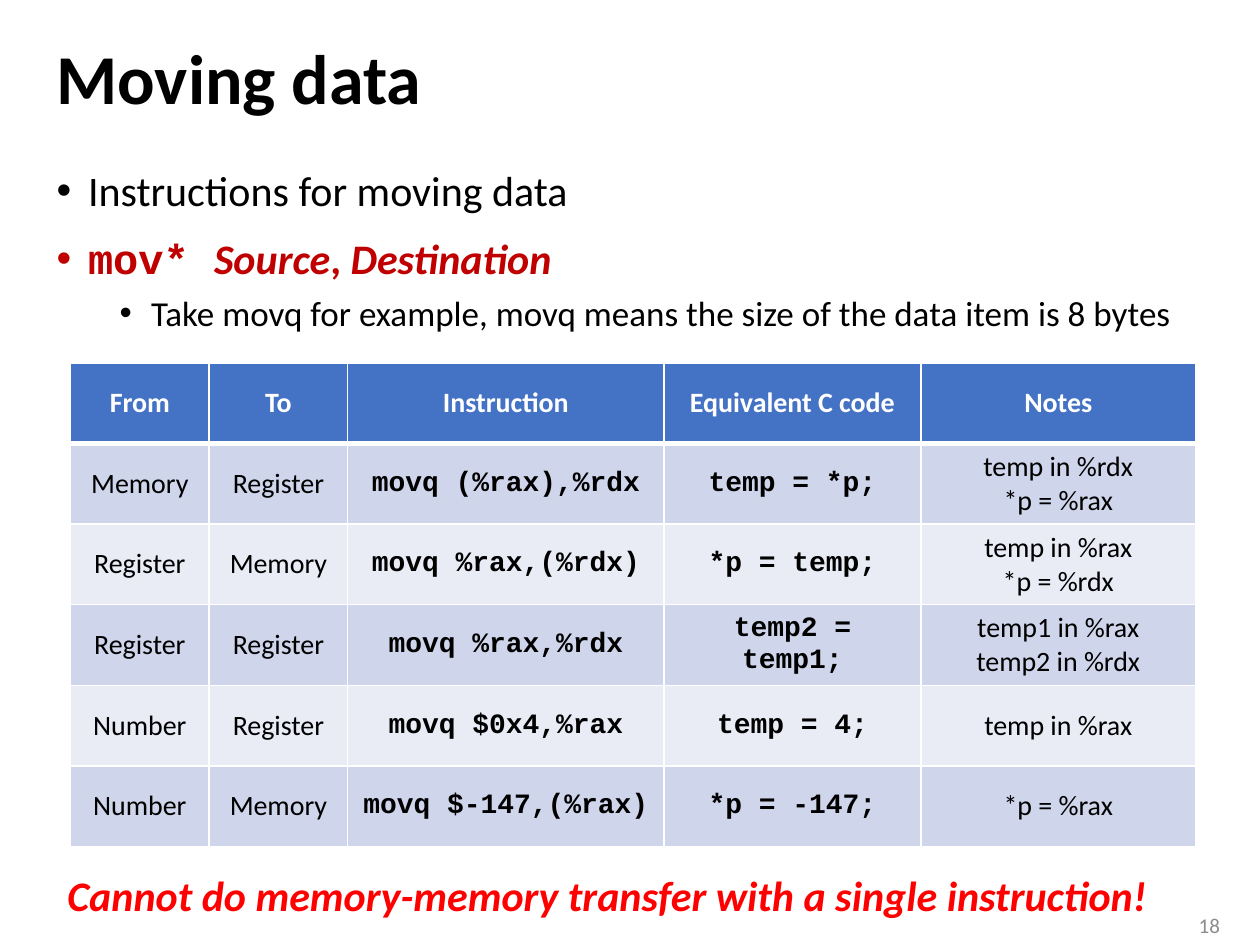
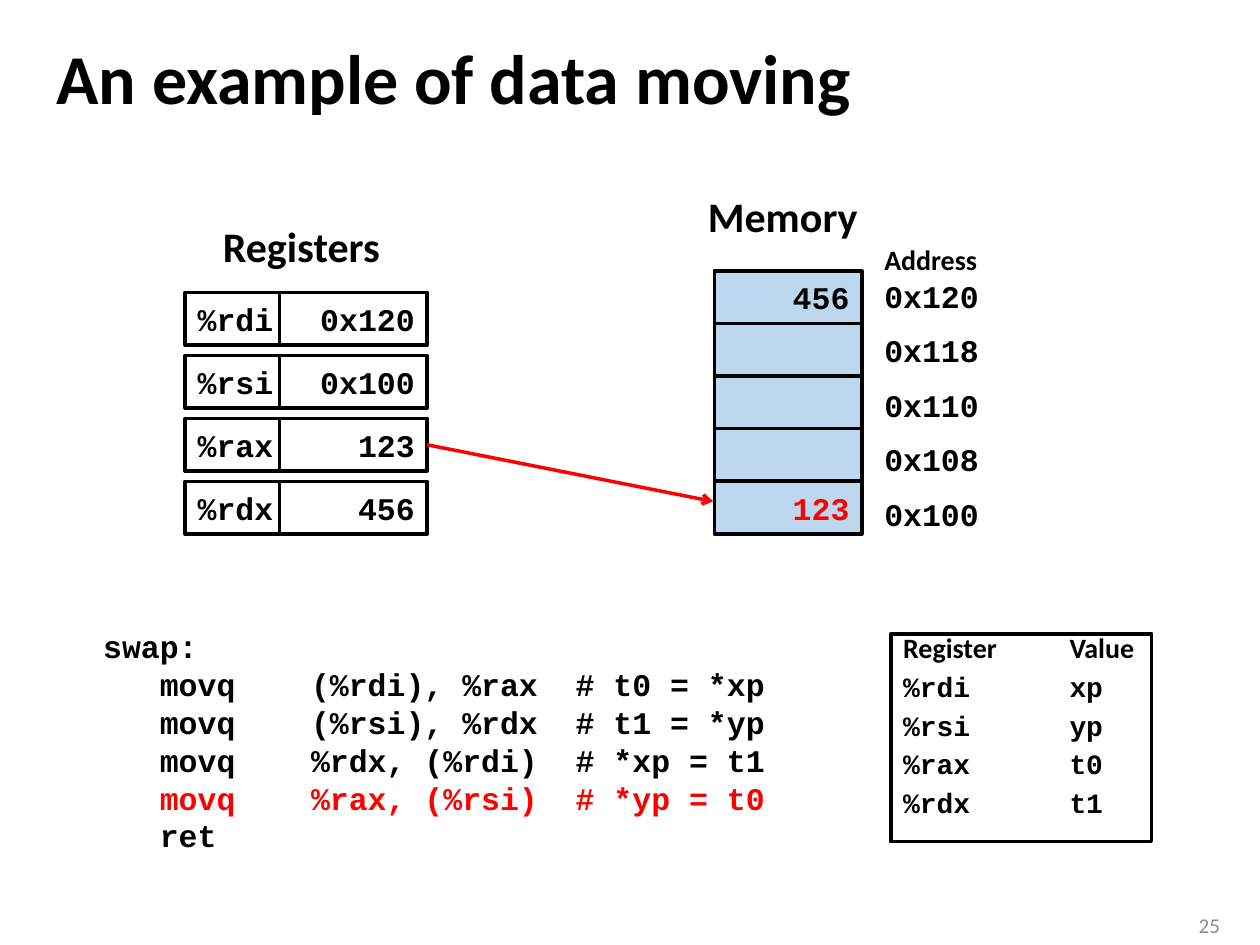
from lxml import etree
from pptx import Presentation
from pptx.dml.color import RGBColor
from pptx.enum.shapes import MSO_CONNECTOR as CONN, MSO_SHAPE as SHAPE
from pptx.enum.text import MSO_ANCHOR as ANCHOR, PP_ALIGN as ALIGN
from pptx.oxml.ns import qn
from pptx.util import Inches, Pt

COLORS = {
    "text": "000000", "white": "FFFFFF", "muted": "8C8C8C",
    "red": "FF0000", "dark_red": "C00000", "header": "4472C4",
    "band_dark": "CFD5EA", "band_light": "E9EBF5", "memory": "BDD7EE",
}
SANS, MONO = "Calibri", "Courier New"


def rgb(name):
    return RGBColor.from_string(COLORS[name])


def child(parent, tag, **attrs):
    return etree.SubElement(parent, qn(tag), attrs)


class Deck:
    """Holds the shared style and the slide being built."""

    def __init__(self):
        self.prs = Presentation()
        self.prs.slide_width, self.prs.slide_height = Inches(10), Inches(7.5)
        self.s = None

    def slide(self, title, number):
        self.s = self.prs.slides.add_slide(self.prs.slide_layouts[6])
        tf = self.text(0.35, 0.19, 9.29, 0.92, [title], anchor=ANCHOR.MIDDLE,
                       size=40, bold=True)
        tf.paragraphs[0].line_spacing = 0.9
        self.text(9.27, 7.19, 0.51, 0.31, [number], anchor=ANCHOR.MIDDLE,
                  size=12, color="muted", align=ALIGN.RIGHT)

    def font(self, font, size=18, name=SANS, color="text", bold=False, italic=False):
        font.size, font.name, font.bold, font.italic = Pt(size), name, bold, italic
        font.color.rgb = rgb(color)

    def fill_text(self, tf, lines, align=ALIGN.LEFT, tabs=(), **style):
        for i, line in enumerate(lines):
            p = tf.paragraphs[0] if i == 0 else tf.add_paragraph()
            p.text, p.alignment = line, align
            if tabs:
                tab_list = child(p._p.get_or_add_pPr(), "a:tabLst")
                for pos in tabs:
                    child(tab_list, "a:tab", pos=str(Inches(pos)), algn="l")
            self.font(p.font, **style)
        return tf

    def text(self, x, y, w, h, lines, anchor=ANCHOR.TOP, wrap=True, **style):
        sp = self.s.shapes.add_textbox(Inches(x), Inches(y), Inches(w), Inches(h))
        tf = sp.text_frame
        tf.word_wrap, tf.vertical_anchor = wrap, anchor
        return self.fill_text(tf, lines, **style)

    def bullet(self, p, runs, level=0, size=24, before=0):
        """Fill a bulleted paragraph with (text, style) runs."""
        pPr = p._p.get_or_add_pPr()
        pPr.set("marL", str(Inches(0.25 + 0.5 * level)))
        pPr.set("indent", str(Inches(-0.25)))
        child(pPr, "a:buFont", typeface="Arial")
        child(pPr, "a:buChar", char="•")
        p.level, p.space_before = level, Pt(before)
        for text, style in runs:
            r = p.add_run()
            r.text = text
            self.font(r.font, size=size, **style)

    def box(self, x, y, w, h, lines=(), fill=None, anchor=ANCHOR.MIDDLE,
            wrap=False, **style):
        sp = self.s.shapes.add_shape(SHAPE.RECTANGLE, Inches(x), Inches(y),
                                     Inches(w), Inches(h))
        sp.shadow.inherit = False
        if fill:
            sp.fill.solid()
            sp.fill.fore_color.rgb = rgb(fill)
        else:
            sp.fill.background()
        sp.line.color.rgb, sp.line.width = rgb("text"), Pt(2)
        tf = sp.text_frame
        tf.word_wrap, tf.vertical_anchor = wrap, anchor
        return self.fill_text(tf, lines, **style)

    def arrow(self, x1, y1, x2, y2, color):
        cn = self.s.shapes.add_connector(CONN.STRAIGHT, Inches(x1), Inches(y1),
                                         Inches(x2), Inches(y2))
        cn.line.color.rgb, cn.line.width = rgb(color), Pt(2)
        child(cn.line._get_or_add_ln(), "a:tailEnd", type="arrow")
        child(cn._element.spPr, "a:effectLst")

    def border(self, cell, bottom):
        tcPr = cell._tc.get_or_add_tcPr()
        for side, width in (("L", 1), ("R", 1), ("T", 1), ("B", bottom)):
            ln = child(tcPr, f"a:ln{side}", w=str(Pt(width)))
            child(child(ln, "a:solidFill"), "a:srgbClr", val=COLORS["white"])

    def table(self, x, y, widths, row_h, rows, mono_cols):
        table = self.s.shapes.add_table(
            len(rows), len(widths), Inches(x), Inches(y),
            Inches(sum(widths)), Inches(row_h * len(rows))).table
        table.first_row = table.horz_banding = False
        for col, width in zip(table.columns, widths):
            col.width = Inches(width)
        for i, row in enumerate(rows):
            head = i == 0
            fill = "header" if head else "band_dark" if i % 2 else "band_light"
            for j, value in enumerate(row):
                cell = table.cell(i, j)
                mono = not head and j in mono_cols
                self.border(cell, bottom=3 if head else 1)
                cell.fill.solid()
                cell.fill.fore_color.rgb = rgb(fill)
                cell.vertical_anchor = ANCHOR.MIDDLE
                self.fill_text(cell.text_frame, value.split("\n"), align=ALIGN.CENTER,
                               size=16, name=MONO if mono else SANS,
                               color="white" if head else "text", bold=head or mono)


def moving_data(deck):
    deck.slide("Moving data", "18")

    # Bullets
    body = deck.text(0.35, 1.26, 9.29, 1.6, [])
    operand = dict(color="dark_red", bold=True)
    deck.bullet(body.paragraphs[0], [("Instructions for moving data", {})])
    deck.bullet(body.add_paragraph(), [
        ("mov* ", dict(name=MONO, **operand)),
        ("Source", dict(italic=True, **operand)),
        (", ", operand),
        ("Destination", dict(italic=True, **operand)),
    ], before=10)
    deck.bullet(body.add_paragraph(), [
        ("Take movq for example, movq means the size of the data item is 8 bytes", {}),
    ], level=1, size=20, before=5)

    # Operand combinations
    deck.table(0.56, 2.88, [1.1, 1.1, 2.51, 2.04, 2.18], 0.64, [
        ("From", "To", "Instruction", "Equivalent C code", "Notes"),
        ("Memory", "Register", "movq (%rax),%rdx", "temp = *p;", "temp in %rdx\n*p = %rax"),
        ("Register", "Memory", "movq %rax,(%rdx)", "*p = temp;", "temp in %rax\n*p = %rdx"),
        ("Register", "Register", "movq %rax,%rdx", "temp2 = temp1;",
         "temp1 in %rax\ntemp2 in %rdx"),
        ("Number", "Register", "movq $0x4,%rax", "temp = 4;", "temp in %rax"),
        ("Number", "Memory", "movq $-147,(%rax)", "*p = -147;", "*p = %rax"),
    ], mono_cols=(2, 3))

    # Warning
    tf = deck.text(0.37, 6.9, 8.9, 0.58,
                   ["Cannot do memory-memory transfer with a single instruction!"],
                   align=ALIGN.CENTER, size=24, color="red", bold=True, italic=True)
    tf.margin_left = tf.margin_right = tf.margin_top = tf.margin_bottom = 0


def swap_example(deck):
    deck.slide("An example of data moving", "25")
    code = dict(name=MONO, bold=True)
    label = dict(bold=True)
    cell_w, cell_h = 1.17, 0.42

    # Memory cells
    memory = [("456", "0x120"), ("", "0x118"), ("", "0x110"), ("", "0x108"),
              ("123", "0x100")]
    for i, (value, _) in enumerate(memory):
        deck.box(5.67, 2.15 + i * 0.417, cell_w, cell_h, [value] if value else [],
                 fill="memory", align=ALIGN.RIGHT,
                 color="red" if value == "123" else "text", **code)

    # Registers
    registers = [("%rdi", "0x120"), ("%rsi", "0x100"), ("%rax", "123"), ("%rdx", "456")]
    for i, (name, value) in enumerate(registers):
        y = 2.32 + i * 0.5
        deck.box(1.47, y, 0.75, cell_h, [name], fill="white", **code)
        deck.box(2.22, y, cell_w, cell_h, [value], fill="white", align=ALIGN.RIGHT, **code)

    deck.text(1.67, 1.7, 1.48, 0.5, ["Registers"], wrap=False, size=24, **label)
    deck.text(5.52, 1.46, 1.4, 0.5, ["Memory"], wrap=False, size=24, **label)
    deck.arrow(3.39, 3.53, 5.66, 3.98, "red")

    # Assembly code
    tf = deck.text(0.72, 4.93, 6.42, 1.92, [
        "swap:",
        "   movq    (%rdi), %rax  # t0 = *xp",
        "   movq    (%rsi), %rdx  # t1 = *yp",
        "   movq    %rdx, (%rdi)  # *xp = t1",
        "   movq    %rax, (%rsi)  # *yp = t0",
        "   ret",
    ], **code)
    tf.paragraphs[4].font.color.rgb = rgb("red")

    # Addresses
    for i, (_, address) in enumerate(memory):
        deck.text(6.92, 2.15 + i * 0.432, 1.33, 0.4, [address], **code)
    deck.text(6.92, 1.88, 1.33, 0.37, ["Address"], size=16, **label)

    # Register roles
    tf = deck.box(7.07, 5.03, 2.07, 1.65, [
        "Register\tValue", "%rdi\txp", "%rsi\typ", "%rax\tt0", "%rdx\tt1",
    ], anchor=ANCHOR.TOP, wrap=True, tabs=(1.32,), size=16, **code)
    for i, p in enumerate(tf.paragraphs):
        p.line_spacing, p.space_before = 0.7, Pt(8.7 if i else 0)
    tf.paragraphs[0].font.name = SANS


def main():
    deck = Deck()
    moving_data(deck)
    swap_example(deck)
    deck.prs.save("out.pptx")


if __name__ == "__main__":
    main()
